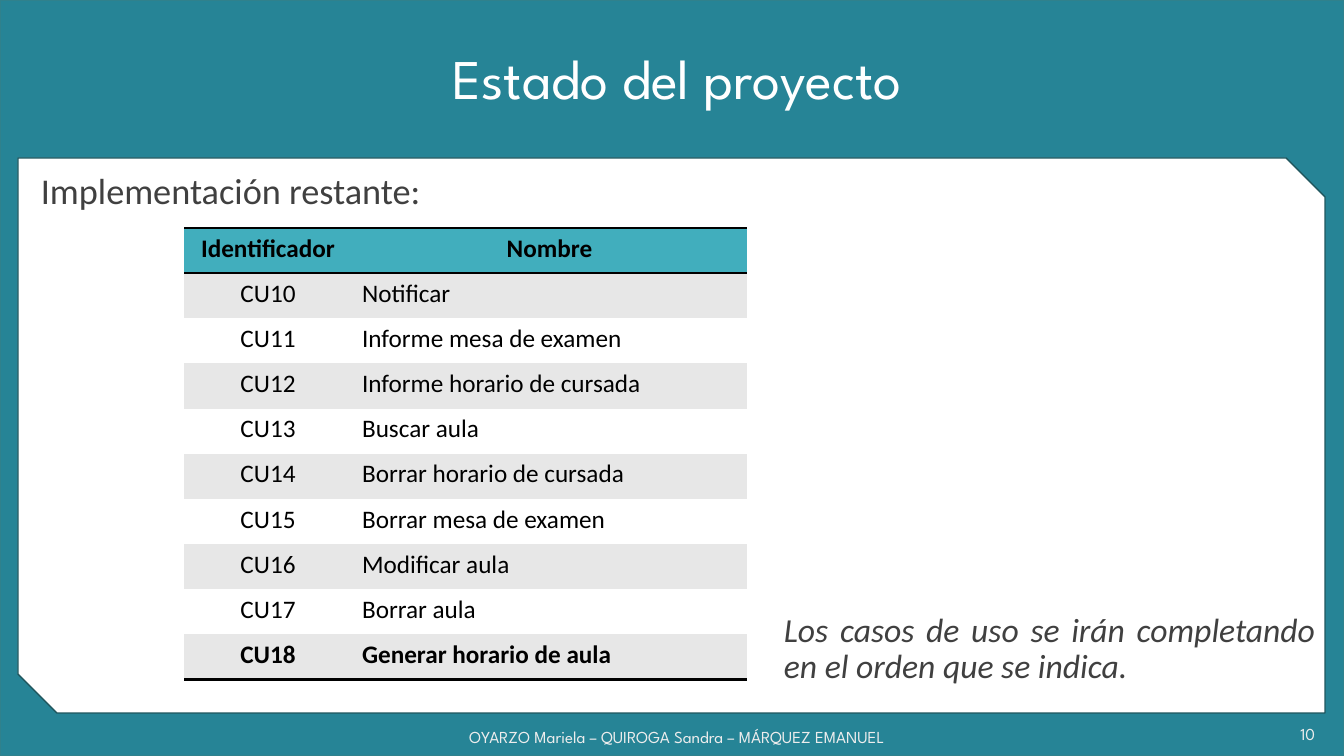
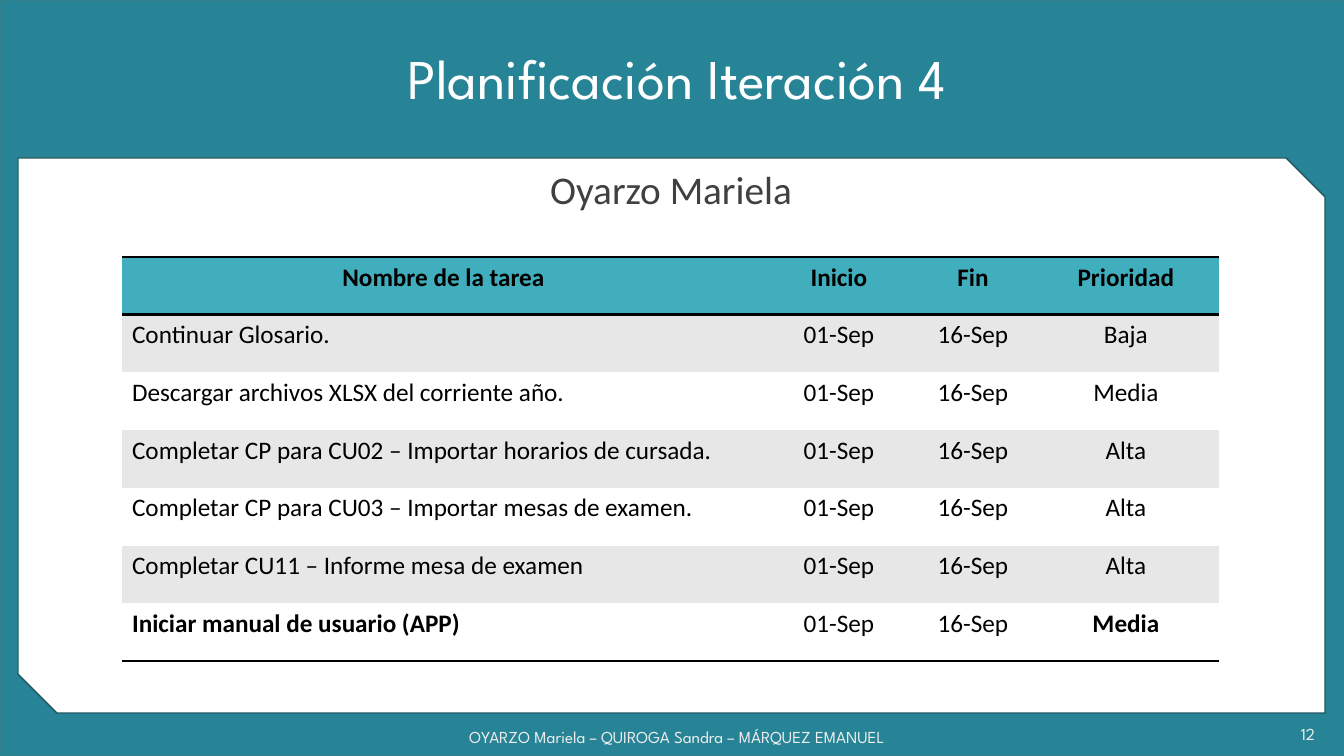
from lxml import etree
from pptx import Presentation
from pptx.dml.color import RGBColor
from pptx.enum.shapes import MSO_SHAPE
from pptx.enum.text import MSO_ANCHOR, PP_ALIGN
from pptx.oxml.ns import qn
from pptx.util import Emu, Pt

RECTANGLE = MSO_SHAPE.RECTANGLE
SNIPPED = MSO_SHAPE.SNIP_2_DIAG_RECTANGLE
TOP, MIDDLE = MSO_ANCHOR.TOP, MSO_ANCHOR.MIDDLE
LEFT, CENTER = PP_ALIGN.LEFT, PP_ALIGN.CENTER
RIGHT, JUSTIFY = PP_ALIGN.RIGHT, PP_ALIGN.JUSTIFY

TEAL = RGBColor(0x26, 0x84, 0x96)
TEAL_EDGE = RGBColor(0x30, 0x81, 0x8C)
PANEL_EDGE = RGBColor(0x20, 0x57, 0x5E)
HEADER = RGBColor(0x41, 0xAE, 0xBD)
BAND = RGBColor(0xE7, 0xE7, 0xE7)
WHITE = RGBColor(0xFF, 0xFF, 0xFF)
BLACK = RGBColor(0x00, 0x00, 0x00)
BODY = RGBColor(0x40, 0x40, 0x40)
FOOTER = RGBColor(0xED, 0xED, 0xED)

TITLE_FONT = "League Spartan"
BODY_FONT = "Calibri"
PLAIN_TABLE_STYLE = "{2D5ABB26-0587-4C30-8999-92F81FD0307C}"
AUTHORS = "OYARZO Mariela – QUIROGA Sandra – MÁRQUEZ EMANUEL"
WIDTH, HEIGHT = 1344, 756

USE_CASES = [
    ("Identificador", "Nombre"),
    ("CU10", "Notificar"),
    ("CU11", "Informe mesa de examen"),
    ("CU12", "Informe horario de cursada"),
    ("CU13", "Buscar aula"),
    ("CU14", "Borrar horario de cursada"),
    ("CU15", "Borrar mesa de examen"),
    ("CU16", "Modificar aula"),
    ("CU17", "Borrar aula"),
    ("CU18", "Generar horario de aula"),
]
TASKS = [
    ("Continuar Glosario.", "Baja"),
    ("Descargar archivos XLSX del corriente año.", "Media"),
    ("Completar CP para CU02 – Importar horarios de cursada.", "Alta"),
    ("Completar CP para CU03 – Importar mesas de examen.", "Alta"),
    ("Completar CU11 – Informe mesa de examen", "Alta"),
    ("Iniciar manual de usuario (APP)", "Media"),
]
SCHEDULE = [("Nombre de la tarea", "Inicio", "Fin", "Prioridad")] + [
    (task, "01-Sep", "16-Sep", priority) for task, priority in TASKS
]


def px(pixels):
    """Turn pixels into EMU at 100.8 pixels to the inch."""
    return Emu(round(pixels * 914400 / 100.8))


def style_paragraph(paragraph, size, color, align, font=BODY_FONT,
                    bold=False, italic=False):
    """Set the alignment and font of a whole paragraph."""
    paragraph.alignment = align
    paragraph.font.name = font
    paragraph.font.size = Pt(size)
    paragraph.font.color.rgb = color
    paragraph.font.bold = bold
    paragraph.font.italic = italic


def add_text(slide, box, text, size, color, align, anchor=TOP, spacing=1,
             before=0, after=0, **style):
    """Add a wrapped one-paragraph text box."""
    frame = slide.shapes.add_textbox(*map(px, box)).text_frame
    frame.word_wrap = True
    frame.vertical_anchor = anchor
    paragraph = frame.paragraphs[0]
    paragraph.text = text
    paragraph.line_spacing = spacing
    paragraph.space_before = Pt(before)
    paragraph.space_after = Pt(after)
    style_paragraph(paragraph, size, color, align, **style)


def add_panel(slide, kind, box, fill, edge):
    """Add a filled, thinly outlined shape and return it."""
    shape = slide.shapes.add_shape(kind, *map(px, box))
    shape.shadow.inherit = False
    shape.fill.solid()
    shape.fill.fore_color.rgb = fill
    shape.line.color.rgb = edge
    shape.line.width = Pt(1)
    return shape


def add_rule(cell, side):
    """Draw a black 2 pt border on one side (T or B) of a cell."""
    properties = cell._tc.get_or_add_tcPr()
    line = etree.SubElement(properties, qn(f"a:ln{side}"), w=str(Pt(2)))
    fill = etree.SubElement(line, qn("a:solidFill"))
    etree.SubElement(fill, qn("a:srgbClr"), val=str(BLACK))


def add_banded_table(slide, left, top, height, widths, rows, aligns,
                     bold_cells):
    """Add a table with a coloured header, grey bands and black rules."""
    count = len(rows)
    frame = slide.shapes.add_table(count, len(widths), px(left), px(top),
                                   px(sum(widths)), px(height))
    table = frame.table
    table.first_row = table.horz_banding = False
    table._tbl.tblPr.find(qn("a:tableStyleId")).text = PLAIN_TABLE_STYLE
    for column, width in zip(table.columns, widths):
        column.width = px(width)
    for row_index, texts in enumerate(rows):
        is_header = row_index == 0
        table.rows[row_index].height = px(height / count)
        for column_index, text in enumerate(texts):
            cell = table.cell(row_index, column_index)
            if is_header:
                add_rule(cell, "T")
            if is_header or row_index == count - 1:
                add_rule(cell, "B")
            cell.fill.solid()
            cell.fill.fore_color.rgb = (
                HEADER if is_header else BAND if row_index % 2 else WHITE)
            cell.text = text
            style_paragraph(
                cell.text_frame.paragraphs[0], 18, BLACK,
                CENTER if is_header else aligns[column_index],
                bold=is_header or (row_index, column_index) in bold_cells)


def add_framed_slide(presentation, title, number):
    """Add a slide with the shared background, title and footer."""
    slide = presentation.slides.add_slide(presentation.slide_layouts[6])
    add_panel(slide, RECTANGLE, (0, 0, WIDTH, HEIGHT), TEAL, TEAL_EDGE)
    panel = add_panel(slide, SNIPPED, (18, 158, 1307, 555), WHITE, PANEL_EDGE)
    panel.adjustments[0] = 0
    panel.adjustments[1] = 0.07
    add_text(slide, (270, 8, 814, 146), title, 40, WHITE, CENTER, MIDDLE,
             spacing=0.9, font=TITLE_FONT)
    add_text(slide, (337, 717, 680, 40), AUTHORS, 12, FOOTER, CENTER, MIDDLE,
             font=TITLE_FONT)
    add_text(slide, (1136, 714, 189, 39), str(number), 12, FOOTER, RIGHT,
             MIDDLE, font=TITLE_FONT)
    return slide


def build_project_status(presentation):
    """Build the slide listing the remaining use cases."""
    slide = add_framed_slide(presentation, "Estado del proyecto", 10)
    add_text(slide, (31, 168, 434, 59), "Implementación restante:", 25.9,
             BODY, JUSTIFY, spacing=0.9, before=10)
    add_banded_table(slide, 184, 228, 452, (168, 395), USE_CASES,
                     (CENTER, LEFT), {(9, 0), (9, 1)})
    add_text(slide, (774, 608, 551, 86),
             "Los casos de uso se irán completando en el orden que se indica.",
             24, BODY, JUSTIFY, spacing=0.9, before=10, italic=True)


def build_iteration_plan(presentation):
    """Build the slide with one member's task schedule."""
    slide = add_framed_slide(presentation, "Planificación Iteración 4", 12)
    add_banded_table(slide, 122, 257, 404, (643, 148, 120, 186), SCHEDULE,
                     (LEFT, CENTER, CENTER, CENTER), {(6, 0), (6, 3)})
    add_text(slide, (18, 166, 1306, 56), "Oyarzo Mariela", 28, BODY, CENTER,
             spacing=0.9, before=12, after=6)


def main():
    """Build and save the presentation."""
    presentation = Presentation()
    presentation.slide_width = px(WIDTH)
    presentation.slide_height = px(HEIGHT)
    build_project_status(presentation)
    build_iteration_plan(presentation)
    presentation.save("out.pptx")


main()
